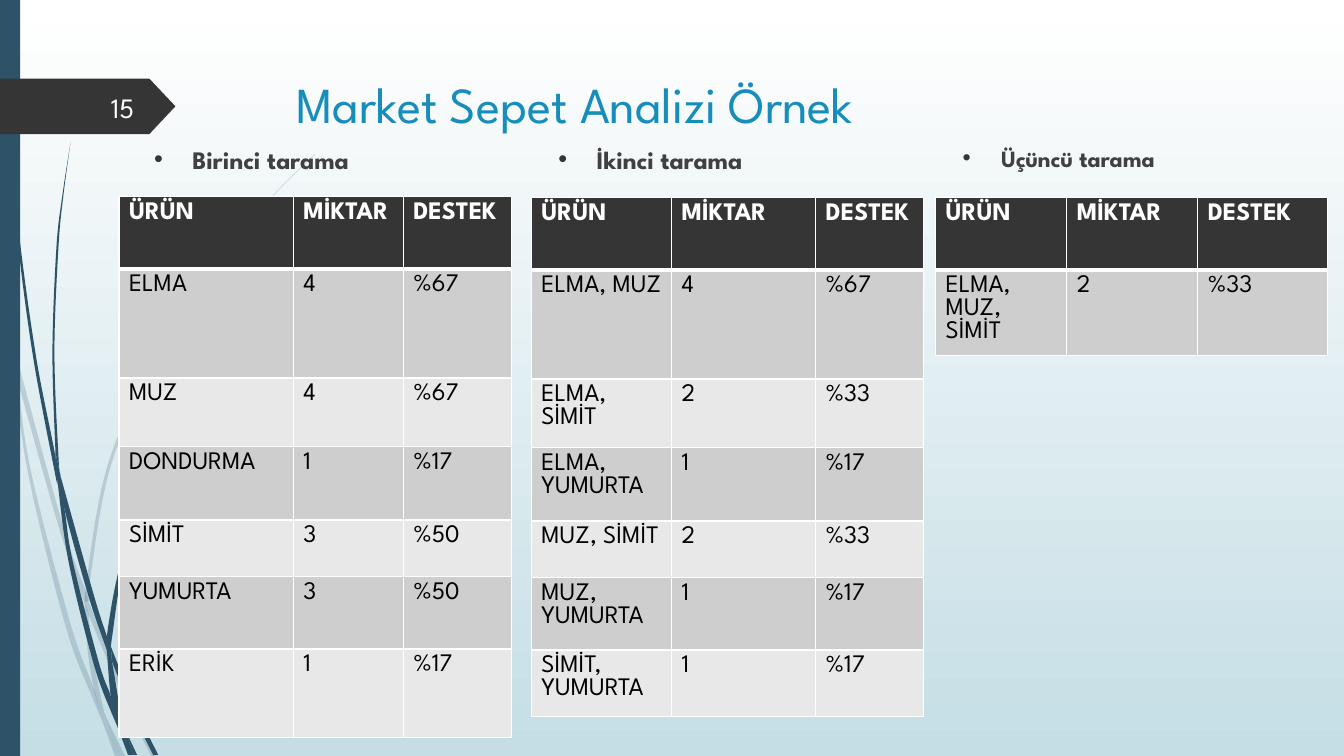
from dataclasses import dataclass

from lxml import etree
from pptx import Presentation
from pptx.dml.color import RGBColor
from pptx.enum.shapes import MSO_SHAPE
from pptx.enum.text import MSO_ANCHOR, MSO_AUTO_SIZE, PP_ALIGN
from pptx.oxml.ns import qn
from pptx.util import Pt

RECTANGLE, PENTAGON = MSO_SHAPE.RECTANGLE, MSO_SHAPE.PENTAGON
TOP, MIDDLE = MSO_ANCHOR.TOP, MSO_ANCHOR.MIDDLE
LEFT, RIGHT, JUSTIFY = PP_ALIGN.LEFT, PP_ALIGN.RIGHT, PP_ALIGN.JUSTIFY
NO_FIT, SHRINK = MSO_AUTO_SIZE.NONE, MSO_AUTO_SIZE.TEXT_TO_FIT_SHAPE

COLUMNS, ROWS = 1333, 750
GRID = 9144


@dataclass(frozen=True)
class Theme:
    font: str = "League Spartan"
    stem: str = "2E5369"
    dark: str = "353535"
    title: str = "178DBB"
    caption: str = "404040"
    white: str = "FFFFFF"
    number: str = "FEFFFF"
    black: str = "000000"
    bands: tuple = ("CECECE", "E8E8E8")
    sky: tuple = ("FFFFFF", "C5DEE5")
    title_size: float = 36
    number_size: float = 20
    body_size: float = 18
    small_size: float = 16.6
    body_leading: float = 16.5


@dataclass(frozen=True)
class Box:
    left: int
    top: int
    width: int
    height: int

    def emu(self):
        return [side * GRID for side in (self.left, self.top, self.width, self.height)]


THEME = Theme()

PALE_STEMS = [
    ([(11, 350), (9, 322), (0, 282)], [(0, 299), (10, 344)]),
    ([(14, 345), (62, 520), (85, 586)], [(84, 599), (58, 522), (17, 376)]),
    ([(88, 596), (92, 607), (127, 692), (155, 750)], [(150, 750), (123, 694), (88, 610)]),
    ([(105, 711), (124, 750)], [(119, 750), (105, 711)]),
    ([(11, 350), (17, 376), (31, 469), (70, 619), (93, 683), (99, 707), (101, 714)],
     [(92, 693), (65, 621), (28, 470), (11, 350)]),
    ([(84, 599), (87, 646), (93, 683), (96, 692), (105, 711)],
     [(103, 706), (91, 646), (88, 610), (84, 599)]),
    ([(312, 153), (289, 175), (268, 197), (228, 244), (158, 348), (107, 461), (85, 584), (88, 596)],
     [(88, 584), (110, 462), (160, 349), (229, 245), (268, 198), (290, 175), (312, 154)]),
    ([(101, 714), (114, 750)], [(119, 750), (101, 714)]),
    ([(85, 586), (88, 596)], [(88, 610), (84, 599)]),
    ([(93, 683), (96, 692), (105, 711), (119, 750)], [(101, 714), (99, 707), (93, 683)]),
]
DARK_STEMS = [
    ([(4, 0), (5, 48), (8, 109), (19, 232), (36, 355), (55, 453), (57, 481)],
     [(56, 477), (33, 355), (17, 233), (7, 110), (4, 48), (3, 0)]),
    ([(60, 472), (93, 590), (106, 631)], [(106, 645), (88, 592), (64, 505), (60, 472)]),
    ([(110, 641), (113, 649), (136, 706), (157, 749)], [(152, 749), (132, 708), (111, 656)]),
    ([(57, 477), (64, 505), (72, 556), (98, 657), (110, 691), (117, 722)],
     [(111, 708), (93, 659), (68, 557), (57, 477)]),
    ([(70, 141), (63, 193), (58, 245), (54, 349), (58, 453), (60, 472)],
     [(55, 449), (52, 349), (56, 245), (62, 193), (70, 141)]),
    ([(122, 719), (136, 749)], [(133, 749), (122, 719)]),
    ([(55, 449), (60, 472)], [(64, 505), (57, 477), (55, 453)]),
    ([(260, 344), (245, 358), (231, 373), (204, 405), (156, 474), (122, 551), (106, 631), (110, 641)],
     [(111, 633), (125, 552), (158, 476), (205, 406), (231, 374), (245, 359), (261, 344)]),
    ([(117, 722), (131, 749)], [(127, 749), (117, 722)]),
    ([(106, 645), (111, 656), (121, 716), (122, 719)], [(116, 706), (110, 691), (106, 645)]),
    ([(106, 631), (110, 641)], [(111, 656), (106, 645)]),
    ([(110, 691), (116, 706), (122, 719), (133, 749)], [(130, 749), (117, 722), (110, 691)]),
]
SCANS = [
    ("Birinci tarama", THEME.body_size, SHRINK, Box(143, 138, 245, 43), Box(118, 195, 389, 537),
     [173, 109, 107], [72, 108, 68, 73, 56, 72, 88],
     [("ELMA", "4", "%67"), ("MUZ", "4", "%67"), ("DONDURMA", "1", "%17"),
      ("SİMİT", "3", "%50"), ("YUMURTA", "3", "%50"), ("ERİK", "1", "%17")]),
    ("İkinci tarama", THEME.body_size, SHRINK, Box(544, 138, 245, 43), Box(527, 196, 389, 515),
     [139, 143, 107], [72, 108, 68, 73, 56, 72, 66],
     [("ELMA, MUZ", "4", "%67"), ("ELMA, SİMİT", "2", "%33"), ("ELMA, YUMURTA", "1", "%17"),
      ("MUZ, SİMİT", "2", "%33"), ("MUZ, YUMURTA", "1", "%17"), ("SİMİT, YUMURTA", "1", "%17")]),
    ("Üçüncü tarama", THEME.small_size, NO_FIT, Box(945, 138, 245, 43), Box(928, 196, 389, 157),
     [130, 130, 129], [72, 85], [("ELMA, MUZ, SİMİT", "2", "%33")]),
]
HEADINGS = ("ÜRÜN", "MİKTAR", "DESTEK")


def set_values(target, values):
    for name, value in values.items():
        setattr(target, name, value)


def add_xml(parent, tag, **attributes):
    return etree.SubElement(parent, qn(tag), attributes)


def paint(shape, color):
    shape.shadow.inherit = False
    shape.fill.solid()
    shape.fill.fore_color.rgb = RGBColor.from_string(color)
    shape.line.fill.background()


def write(frame, text, size, color, bold=False, align=LEFT):
    paragraph = frame.paragraphs[0]
    paragraph.alignment = align
    run = paragraph.add_run()
    run.text = text
    set_values(run.font, {"name": THEME.font, "size": Pt(size), "bold": bold})
    run.font.color.rgb = RGBColor.from_string(color)
    return paragraph


def add_text(slide, box, text, size, color, bold=False, align=LEFT, anchor=TOP, fit=NO_FIT):
    frame = slide.shapes.add_textbox(*box.emu()).text_frame
    set_values(frame, {"word_wrap": True, "vertical_anchor": anchor, "auto_size": fit})
    return write(frame, text, size, color, bold, align)


def curve_handles(points):
    padded = [points[0], *points, points[-1]]
    for a, b, c, d in zip(padded, padded[1:], padded[2:], padded[3:]):
        yield [tuple(q + (r - p) / 6 for p, q, r in zip(a, b, c)),
               tuple(r - (s - q) / 6 for q, r, s in zip(b, c, d)), c]


def add_stem(slide, box, edges, opacity):
    edges = [[((box.left + x) * GRID, (box.top + y) * GRID) for x, y in edge] for edge in edges]
    outline = [point for edge in edges for point in edge]
    builder = slide.shapes.build_freeform(*outline[0])
    builder.add_line_segments(outline[1:], close=True)
    stem = builder.convert_to_shape()
    paint(stem, THEME.stem)
    outward, back = edges
    segments = [*curve_handles(outward), None, *curve_handles(back)]
    for line, handles in zip(list(stem._element.iter(qn("a:lnTo"))), segments):
        if handles:
            curve = etree.Element(qn("a:cubicBezTo"))
            for x, y in handles:
                add_xml(curve, "a:pt", x=str(round(x - stem.left)), y=str(round(y - stem.top)))
            line.getparent().replace(line, curve)
    if opacity < 100:
        color = stem.fill._xPr.find(qn("a:solidFill"))[0]
        add_xml(color, "a:alpha", val=str(opacity * 1000))


def add_backdrop(slide, box):
    fill = slide.background.fill
    fill.gradient()
    fill.gradient_angle = 270
    for position, (stop, color) in enumerate(zip(fill.gradient_stops, THEME.sky)):
        stop.position = position
        stop.color.rgb = RGBColor.from_string(color)
    for stems, opacity in ((PALE_STEMS, 20), (DARK_STEMS, 100)):
        for edges in stems:
            add_stem(slide, box, edges, opacity)
    bar = slide.shapes.add_shape(RECTANGLE, *Box(box.left, box.top, 20, box.height).emu())
    paint(bar, THEME.stem)


def add_header(slide, box):
    badge = slide.shapes.add_shape(PENTAGON, *Box(box.left, box.top + 10, 174, 55).emu())
    badge.adjustments[0] = 0.47
    paint(badge, THEME.dark)
    add_text(slide, Box(box.left + 284, box.top, 975, box.height), "Market Sepet Analizi Örnek",
             THEME.title_size, THEME.title, fit=SHRINK)
    add_text(slide, Box(box.left + 58, box.top + 18, 85, 40), "15",
             THEME.number_size, THEME.number, align=RIGHT, anchor=MIDDLE)


def add_caption(slide, box, text, size, fit):
    paragraph = add_text(slide, box, text, size, THEME.caption, bold=True, align=JUSTIFY, fit=fit)
    paragraph.space_before = Pt(10)
    properties = paragraph._p.get_or_add_pPr()
    properties.set("marL", str(38 * GRID))
    properties.set("indent", str(-38 * GRID))
    add_xml(add_xml(properties, "a:buClr"), "a:srgbClr", val=THEME.dark)
    add_xml(properties, "a:buFont", typeface="Arial")
    add_xml(properties, "a:buChar", char="•")


def add_borders(cell, widths):
    properties = cell._tc.get_or_add_tcPr()
    for side, width in widths.items():
        line = add_xml(properties, f"a:ln{side}", w=str(Pt(width)))
        add_xml(add_xml(line, "a:solidFill"), "a:srgbClr", val=THEME.white)


def add_scan_table(slide, box, widths, heights, records):
    table = slide.shapes.add_table(len(heights), len(widths), *box.emu()).table
    table.horz_banding = False
    for column, width in zip(table.columns, widths):
        column.width = width * GRID
    for index, (row, height, texts) in enumerate(zip(table.rows, heights, [HEADINGS, *records])):
        row.height = height * GRID
        header = index == 0
        fill = THEME.dark if header else THEME.bands[(index - 1) % 2]
        for cell, text in zip(row.cells, texts):
            add_borders(cell, {"L": 1, "R": 1, "T": 3 if index == 1 else 1, "B": 3 if header else 1})
            cell.fill.solid()
            cell.fill.fore_color.rgb = RGBColor.from_string(fill)
            paragraph = write(cell.text_frame, text, THEME.body_size,
                              THEME.white if header else THEME.black, bold=header)
            paragraph.line_spacing = Pt(THEME.body_leading)


def main():
    presentation = Presentation()
    set_values(presentation, {"slide_width": COLUMNS * GRID, "slide_height": ROWS * GRID})
    slide = presentation.slides.add_slide(presentation.slide_layouts[6])
    add_backdrop(slide, Box(0, 0, COLUMNS, ROWS))
    add_header(slide, Box(0, 68, COLUMNS, 140))
    for caption, size, fit, caption_box, table_box, widths, heights, records in SCANS:
        add_scan_table(slide, table_box, widths, heights, records)
        add_caption(slide, caption_box, caption, size, fit)
    presentation.save("out.pptx")


if __name__ == "__main__":
    main()
